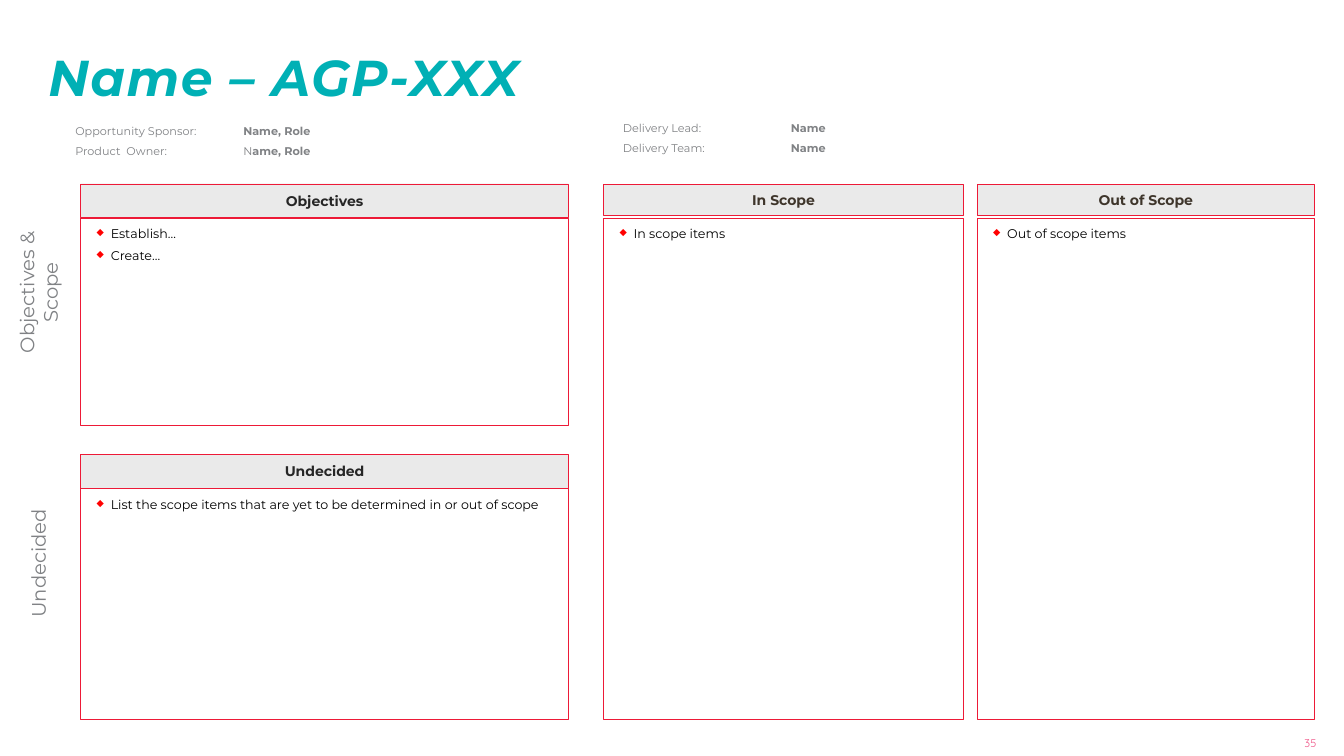
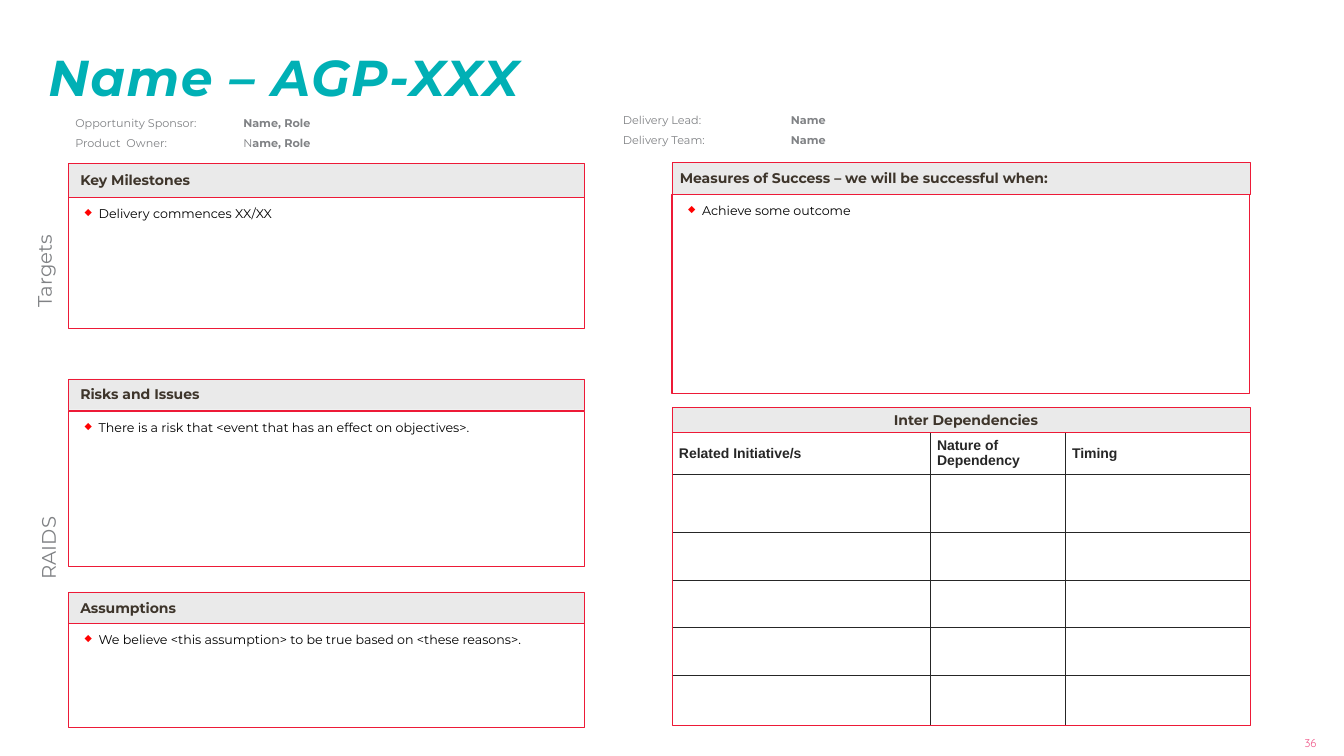
import dataclasses
import typing

import lxml.etree
import pptx
import pptx.dml.color
import pptx.enum.shapes
import pptx.enum.text
import pptx.oxml.ns
import pptx.slide
import pptx.util

SLIDE_WIDTH = pptx.util.Inches(13.33)
SLIDE_HEIGHT = pptx.util.Inches(7.5)

COLOURS = {
    "title": "00B0B5",
    "frame": "ED1A37",
    "band": "EAEAEA",
    "bullet": "FF0101",
    "muted": "808285",
    "page": "F05588",
    "body": "000000",
    "dark": "262626",
    "heading": "3E352B",
}

ALIGN = pptx.enum.text.PP_ALIGN
ANCHOR = pptx.enum.text.MSO_ANCHOR
Point = pptx.util.Pt
Format = dict[str, typing.Any]

# Fonts
TITLE_FONT: Format = {"name": "Montserrat", "size": Point(36), "bold": True, "italic": True}
HEADING_FONT: Format = {"name": "Montserrat", "size": Point(10), "bold": True}
BODY_FONT: Format = {"name": "Montserrat", "size": Point(9)}
CONTACT_FONT: Format = {"name": "Montserrat", "size": Point(8)}
SIDE_FONT: Format = {"name": "Montserrat", "size": Point(14)}
PAGE_FONT: Format = {"name": "Quicksand", "size": Point(8)}
TABLE_FONT: Format = {"name": "Arial", "size": Point(10), "bold": True}


# Positions and sizes are percentages of the slide's width or height
@dataclasses.dataclass(frozen=True)
class Box:
    left: float
    top: float
    width: float
    height: float

    def lengths(self) -> tuple[int, int, int, int]:
        return (across(self.left), down(self.top), across(self.width), down(self.height))


@dataclasses.dataclass(frozen=True)
class Panel:
    heading: str
    left: float
    top: float
    width: float
    band: float
    body: float
    items: tuple[str, ...] = ()
    gap: float = 0
    align: typing.Any = ALIGN.LEFT
    inset: float = 0
    line: float = 0.25
    colour: str = "heading"

    @property
    def body_box(self) -> Box:
        return Box(self.left, self.top + self.band + self.gap, self.width, self.body)


@dataclasses.dataclass(frozen=True)
class SideLabel:
    text: str
    centre_x: float
    centre_y: float
    length: float
    thickness: float = 1.8


@dataclasses.dataclass(frozen=True)
class Contact:
    label: str
    plain: str
    bold: str


@dataclasses.dataclass(frozen=True)
class Page:
    number: int
    contacts_top: float
    panels: tuple[Panel, ...]
    side_labels: tuple[SideLabel, ...]
    dependency_headings: tuple[str, ...] = ()


TITLE = "Name – AGP-XXX"
TITLE_BOX = Box(3.6, 6, 77.25, 8.1)
PAGE_NUMBER_BOX = Box(89.4, 97.1, 8.55, 2.4)
CONTACT_TAB = 12.5
CONTACT_LIFT = 0.4
CONTACTS = (
    (5.6, 0, (Contact("Opportunity Sponsor:", "", "Name, Role"),
              Contact("Product  Owner:", "N", "ame, Role"))),
    (46.35, CONTACT_LIFT, (Contact("Delivery Lead:", "", "Name"),
                           Contact("Delivery Team:", "", "Name"))),
)
TABLE_BOX = Box(50, 57.2, 43, 38.7)
TABLE_COLUMNS = (19.2, 10.05, 13.75)
TABLE_ROWS = (5.5, 7.7, 6.3, 6.3, 6.3, 6.6)

PAGES = (
    Page(
        35, 15.5,
        (
            Panel("Objectives", 6, 24.3, 36.3, 4.5, 27.5, ("Establish…", "Create…"),
                  align=ALIGN.CENTER, colour="dark"),
            Panel("Undecided", 6, 60.1, 36.3, 4.5, 30.6,
                  ("List the scope items that are yet to be determined in or out of scope",),
                  align=ALIGN.CENTER, colour="dark"),
            Panel("In Scope", 44.9, 24.4, 26.8, 4.1, 66.4, ("In scope items",),
                  gap=0.3, align=ALIGN.CENTER),
            Panel("Out of Scope", 72.7, 24.4, 25.1, 4.1, 66.4, ("Out of scope items",),
                  gap=0.3, align=ALIGN.CENTER),
        ),
        (SideLabel("Objectives & Scope", 2.85, 38.7, 23.7, 3.5),
         SideLabel("Undecided", 2.85, 74.5, 23.7)),
    ),
    Page(
        36, 14.5,
        (
            Panel("Key Milestones", 5.1, 21.6, 38.4, 4.5, 17.4,
                  ("Delivery commences XX/XX",), inset=8.4, line=0.75),
            Panel("Risks and Issues", 5.1, 50.1, 38.4, 4.1, 20.6,
                  ("There is a risk that <event that has an effect on objectives>.",),
                  gap=0.2, inset=8.4, line=0.75),
            Panel("Assumptions", 5.1, 78.3, 38.4, 4.1, 13.7,
                  ("We believe <this assumption> to be true based on <these reasons>.",),
                  gap=0.1, inset=8.4, line=0.75),
            Panel("Measures of Success – we will be successful when:", 50, 21.5, 43, 4.2, 26.3,
                  ("Achieve some outcome",), inset=5.6, line=0.75),
            Panel("Inter Dependencies", 50, 53.9, 43, 3.3, 38.7,
                  align=ALIGN.CENTER, inset=7),
        ),
        (SideLabel("Targets", 3.3, 35.9, 13.2), SideLabel("RAIDS", 3.6, 72.5, 13.2)),
        ("Related Initiative/s", "Nature of Dependency", "Timing"),
    ),
)


def across(share: float) -> int:
    return round(SLIDE_WIDTH * share / 100)


def down(share: float) -> int:
    return round(SLIDE_HEIGHT * share / 100)


def rgb(colour: str) -> pptx.dml.color.RGBColor:
    return pptx.dml.color.RGBColor.from_string(COLOURS[colour])


def apply_format(target: typing.Any, values: Format) -> None:
    for name, value in values.items():
        setattr(target, name, value)


def add_element(parent: typing.Any, tag: str, **attributes: str) -> typing.Any:
    return lxml.etree.SubElement(parent, pptx.oxml.ns.qn(tag), attributes)


def set_frame(frame: typing.Any, anchor: typing.Any = ANCHOR.TOP, left: float = 0,
              top: float = 0, right: float = 0, bottom: float = 0) -> None:
    """Set the anchor of a text frame and its insets in points."""
    apply_format(frame, {
        "word_wrap": True, "vertical_anchor": anchor,
        "margin_left": Point(left), "margin_top": Point(top),
        "margin_right": Point(right), "margin_bottom": Point(bottom),
    })


def add_run(paragraph: typing.Any, text: str, font: Format, colour: str) -> typing.Any:
    run = paragraph.add_run()
    run.text = text
    apply_format(run.font, font)
    run.font.color.rgb = rgb(colour)
    return run


def add_text(slide: pptx.slide.Slide, box: Box, text: str, font: Format, colour: str,
             align: typing.Any = ALIGN.LEFT) -> typing.Any:
    """Add one line of text in a box without insets."""
    shape = slide.shapes.add_textbox(*box.lengths())
    set_frame(shape.text_frame, ANCHOR.MIDDLE)
    paragraph = shape.text_frame.paragraphs[0]
    paragraph.alignment = align
    return add_run(paragraph, text, font, colour)


def add_rectangle(slide: pptx.slide.Slide, box: Box, line: float, fill: str = "") -> typing.Any:
    shape = slide.shapes.add_shape(pptx.enum.shapes.MSO_SHAPE.RECTANGLE, *box.lengths())
    shape.shadow.inherit = False
    if fill:
        shape.fill.solid()
        shape.fill.fore_color.rgb = rgb(fill)
    else:
        shape.fill.background()
    shape.line.color.rgb = rgb("frame")
    shape.line.width = Point(line)
    return shape


def add_bullet(paragraph: typing.Any) -> None:
    apply_format(paragraph, {"alignment": ALIGN.LEFT, "space_after": Point(4.5)})
    properties = paragraph._p.get_or_add_pPr()
    indent = Point(10)
    properties.set("marL", str(indent))
    properties.set("indent", str(-indent))
    colour = add_element(properties, "a:buClr")
    add_element(colour, "a:srgbClr", val=COLOURS["bullet"])
    add_element(properties, "a:buSzPct", val="75000")
    add_element(properties, "a:buChar", char="◆")


def add_panel(slide: pptx.slide.Slide, panel: Panel) -> None:
    # Heading band
    band = add_rectangle(slide, Box(panel.left, panel.top, panel.width, panel.band), 0.25, "band")
    set_frame(band.text_frame, ANCHOR.MIDDLE, left=panel.inset, top=6, bottom=6)
    heading = band.text_frame.paragraphs[0]
    heading.alignment = panel.align
    add_run(heading, panel.heading, HEADING_FONT, panel.colour)

    # Framed list
    frame = add_rectangle(slide, panel.body_box, panel.line).text_frame
    set_frame(frame, left=11.5, top=6, bottom=8.5)
    for index, item in enumerate(panel.items):
        paragraph = frame.add_paragraph() if index else frame.paragraphs[0]
        add_bullet(paragraph)
        add_run(paragraph, item, BODY_FONT, "body")


def add_side_label(slide: pptx.slide.Slide, label: SideLabel) -> None:
    length, thickness = down(label.length), across(label.thickness)
    shape = slide.shapes.add_textbox(across(label.centre_x) - length // 2,
                                     down(label.centre_y) - thickness // 2, length, thickness)
    shape.rotation = 270
    set_frame(shape.text_frame, left=5, right=5)
    paragraph = shape.text_frame.paragraphs[0]
    paragraph.alignment = ALIGN.CENTER
    add_run(paragraph, label.text, SIDE_FONT, "muted")


def add_contacts(slide: pptx.slide.Slide, left: float, top: float,
                 contacts: tuple[Contact, ...]) -> None:
    frame = slide.shapes.add_textbox(*Box(left, top, 35.7, 6.5).lengths()).text_frame
    set_frame(frame)
    for index, contact in enumerate(contacts):
        paragraph = frame.add_paragraph() if index else frame.paragraphs[0]
        paragraph.line_spacing = 1.5
        tabs = add_element(paragraph._p.get_or_add_pPr(), "a:tabLst")
        add_element(tabs, "a:tab", pos=str(across(CONTACT_TAB)), algn="l")
        add_run(paragraph, f"{contact.label}\t{contact.plain}", CONTACT_FONT, "muted")
        add_run(paragraph, contact.bold, {**CONTACT_FONT, "bold": True}, "muted")


def set_borders(cell: typing.Any, shown: dict[str, bool]) -> None:
    properties = cell._tc.get_or_add_tcPr()
    for side, visible in shown.items():
        line = add_element(properties, f"a:ln{side}", w=str(Point(0.25)))
        if visible:
            fill = add_element(line, "a:solidFill")
            add_element(fill, "a:srgbClr", val=COLOURS["dark"])
        else:
            add_element(line, "a:noFill")


def add_dependency_table(slide: pptx.slide.Slide, headings: tuple[str, ...]) -> None:
    last_row, last_column = len(TABLE_ROWS) - 1, len(TABLE_COLUMNS) - 1
    table = slide.shapes.add_table(last_row + 1, last_column + 1, *TABLE_BOX.lengths()).table
    apply_format(table, {"first_row": False, "horz_banding": False})
    for column, width in zip(table.columns, TABLE_COLUMNS):
        column.width = across(width)
    for row_index, height in enumerate(TABLE_ROWS):
        table.rows[row_index].height = down(height)
        for column_index, heading in enumerate(headings):
            cell = table.cell(row_index, column_index)
            set_borders(cell, {"L": column_index > 0, "R": column_index < last_column,
                               "T": row_index > 0, "B": row_index < last_row})
            cell.fill.background()
            if row_index == 0:
                apply_format(cell, {"vertical_anchor": ANCHOR.MIDDLE, "margin_left": Point(5),
                                    "margin_right": Point(5), "margin_top": 0,
                                    "margin_bottom": 0})
                add_run(cell.text_frame.paragraphs[0], heading, TABLE_FONT, "dark")


def add_page(presentation: typing.Any, page: Page) -> None:
    slide = presentation.slides.add_slide(presentation.slide_layouts[6])

    # Title and page number
    title = add_text(slide, TITLE_BOX, TITLE, TITLE_FONT, "title")
    title.font._element.set("spc", "100")
    add_text(slide, PAGE_NUMBER_BOX, str(page.number), PAGE_FONT, "page", ALIGN.RIGHT)

    # People
    for left, lift, contacts in CONTACTS:
        add_contacts(slide, left, page.contacts_top - lift, contacts)

    # Content
    if page.dependency_headings:
        add_dependency_table(slide, page.dependency_headings)
    for panel in page.panels:
        add_panel(slide, panel)
    for label in page.side_labels:
        add_side_label(slide, label)


def main() -> None:
    presentation = pptx.Presentation()
    apply_format(presentation, {"slide_width": SLIDE_WIDTH, "slide_height": SLIDE_HEIGHT})
    for page in PAGES:
        add_page(presentation, page)
    presentation.save("out.pptx")


if __name__ == "__main__":
    main()
